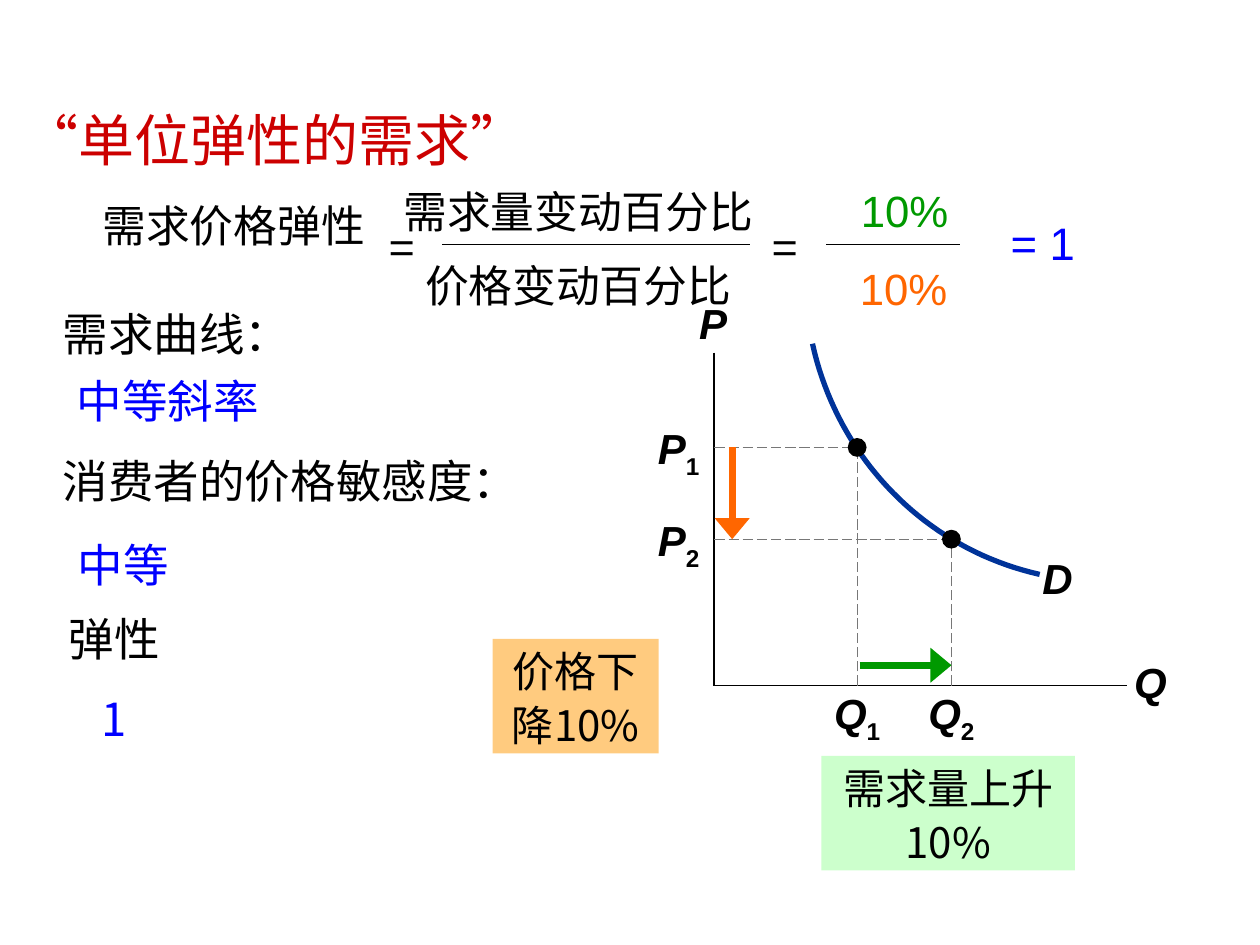
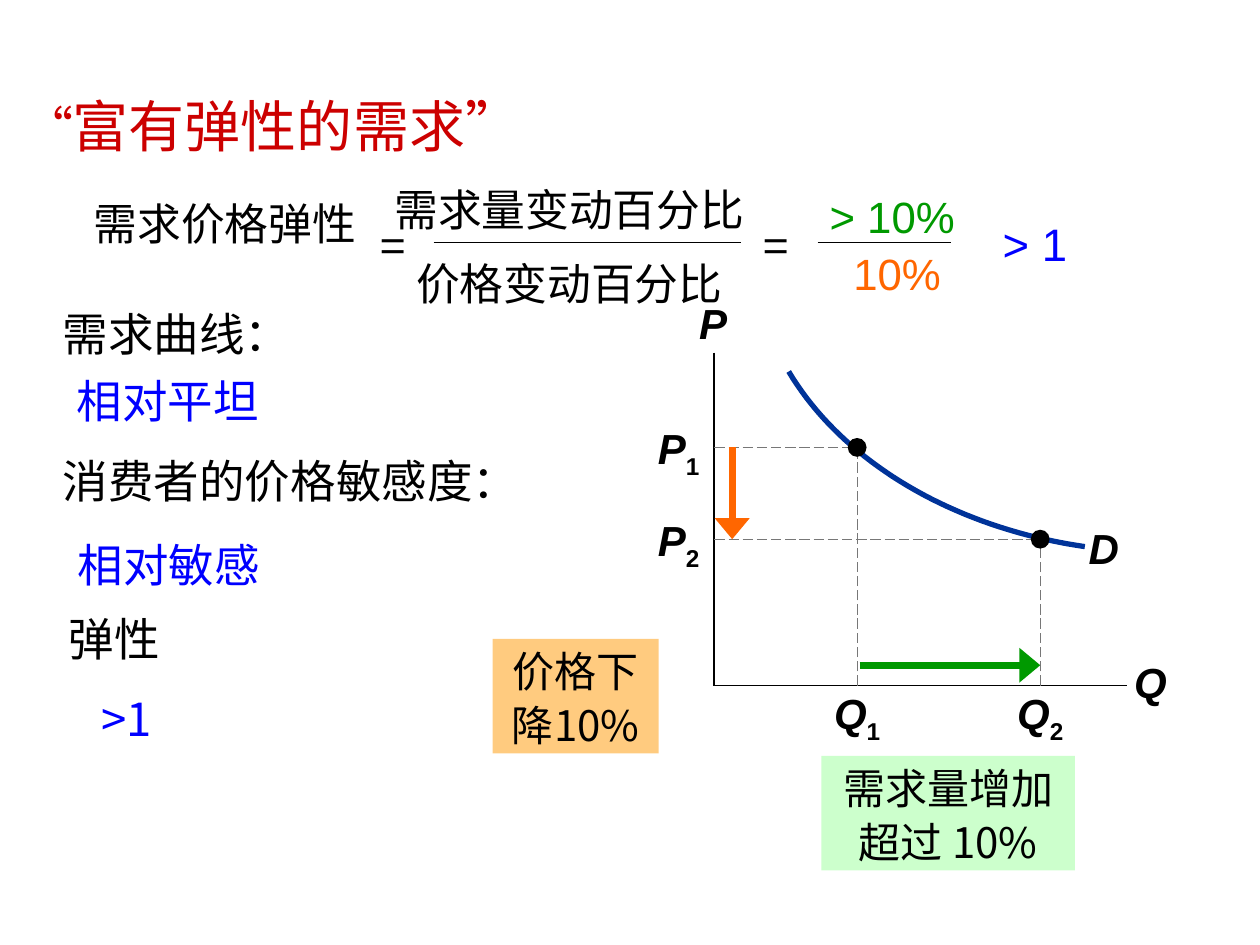
from dataclasses import dataclass

from pptx import Presentation
from pptx.dml.color import RGBColor
from pptx.enum.dml import MSO_LINE
from pptx.enum.shapes import MSO_CONNECTOR, MSO_SHAPE
from pptx.enum.text import MSO_ANCHOR, MSO_AUTO_SIZE, PP_ALIGN
from pptx.oxml.ns import qn
from pptx.util import Cm, Pt
from lxml.etree import SubElement

COLORS = {
    "title": "CC0000", "text": "000000", "answer": "0000FF", "curve": "003399",
    "guide": "777777", "price": "FF6600", "quantity": "009900",
    "price_box": "FF9900", "quantity_box": "CCFFCC",
}
LATIN, CJK = "Arial", "Noto Sans CJK SC"
ORIGIN_X, ORIGIN_Y, AXIS_TOP, AXIS_RIGHT = 14.4, 13.82, 7.11, 22.71
Q1, P1, P2 = 17.28, 9.02, 10.87
DOT = 0.38
LEADING = 1.28

Point = tuple[float, float]


@dataclass(frozen=True)
class Box:
    x: float
    y: float
    w: float
    h: float = 1.27

    @property
    def lengths(self):
        return Cm(self.x), Cm(self.y), Cm(self.w), Cm(self.h)


@dataclass(frozen=True)
class Term:
    text: str
    at: Box
    color: str
    size: int = 25


@dataclass(frozen=True)
class Case:
    title_parts: list[tuple[str, int]]
    title_at: Box
    equation_shift: Point
    terms: list[Term]
    answers: list[str]
    curve: list[Point]
    curve_label: Point
    q2: float
    quantity_note: str


@dataclass(frozen=True)
class Prompt:
    question: str
    question_at: Point
    answer_at: Point


PROMPTS = [
    Prompt("需求曲线：", (1.02, 5.97), (1.3, 7.32)),
    Prompt("消费者的价格敏感度：", (1.02, 8.94), (1.32, 10.62)),
    Prompt("弹性", (1.14, 12.12), (1.8, 13.74)),
]

CASES = [
    Case(
        title_parts=[("“单位弹性的需求”", 32)],
        title_at=Box(0.2, 1.93, 23.6, 1.73),
        equation_shift=(0, 0),
        terms=[
            Term("10%", Box(16.61, 3.58, 3.25), "quantity"),
            Term("10%", Box(16.59, 5.16, 3.25), "price"),
            Term("= 1", Box(20.07, 4.22, 1.91), "answer", 26),
        ],
        answers=["中等斜率", "中等", "1"],
        curve=[(20.96, 11.58), (18.67, 11.07), (16.89, 9.25), (16.38, 6.93)],
        curve_label=(20.52, 11.02),
        q2=19.18,
        quantity_note="需求量上升 10%",
    ),
    Case(
        title_parts=[("“", 28), ("富有弹性的需求”", 32)],
        title_at=Box(0.23, 1.65, 23.6, 1.73),
        equation_shift=(-0.18, -0.04),
        terms=[
            Term("> 10%", Box(16.36, 3.71, 3.25), "quantity"),
            Term("10%", Box(16.46, 4.85, 3.25), "price"),
            Term("> 1", Box(19.91, 4.24, 1.91), "answer", 26),
        ],
        answers=["相对平坦", "相对敏感", ">1"],
        curve=[(21.87, 11.02), (19.23, 10.64), (16.99, 9.32), (15.9, 7.49)],
        curve_label=(21.45, 10.41),
        q2=20.97,
        quantity_note="需求量增加超过 10%",
    ),
]


def rgb(name: str) -> RGBColor:
    return RGBColor.from_string(COLORS[name])


def add_run(p, text: str, *, size=24, font=LATIN, color="text", bold=False,
            italic=False, subscript=False) -> None:
    r = p.add_run()
    r.text = text
    f = r.font
    f.size, f.name, f.bold, f.italic = Pt(size), font, bold, italic
    f.color.rgb = rgb(color)
    rpr = r._r.get_or_add_rPr()
    SubElement(rpr, qn("a:ea")).set("typeface", font)
    if subscript:
        rpr.set("baseline", "-25000")


def write(sp, *lines: str, size=24, font=CJK, color="text", bold=False,
          italic=False, align=PP_ALIGN.CENTER, sub="") -> None:
    tf = sp.text_frame
    tf.word_wrap = True
    for i, line in enumerate(lines):
        p = tf.add_paragraph() if i else tf.paragraphs[0]
        p.alignment = align
        p.space_before = Pt(10 if i else 0)
        if font == CJK:
            p.line_spacing = Pt(size * LEADING)
        add_run(p, line, size=size, font=font, color=color, bold=bold, italic=italic)
        if sub:
            add_run(p, sub, size=size, font=font, color=color, bold=bold, subscript=True)


def add_text(s, box: Box, *lines: str, **style) -> None:
    write(s.shapes.add_textbox(*box.lengths), *lines, **style)


def add_line(s, start: Point, end: Point, *, color="text", width=1.0,
             dashed=False, arrow=False) -> None:
    c = s.shapes.add_connector(MSO_CONNECTOR.STRAIGHT, *map(Cm, start + end))
    c.line.color.rgb = rgb(color)
    c.line.width = Pt(width)
    if dashed:
        c.line.dash_style = MSO_LINE.LONG_DASH
    if arrow:
        tail = SubElement(c.line._get_or_add_ln(), qn("a:tailEnd"))
        tail.set("type", "triangle")
        tail.set("w", "lg")
        tail.set("len", "med")
    SubElement(c._element.spPr, qn("a:effectLst"))


def add_filled(s, kind: MSO_SHAPE, box: Box, color: str, opacity=100):
    sp = s.shapes.add_shape(kind, *box.lengths)
    sp.shadow.inherit = False
    sp.line.fill.background()
    sp.fill.solid()
    sp.fill.fore_color.rgb = rgb(color)
    if opacity < 100:
        clr = sp._element.spPr.find(qn("a:solidFill"))[0]
        SubElement(clr, qn("a:alpha")).set("val", str(opacity * 1000))
    return sp


def add_curve(s, controls: list[Point], steps: int = 40) -> None:
    def at(t: float) -> Point:
        weights = ((1 - t) ** 3, 3 * t * (1 - t) ** 2, 3 * t * t * (1 - t), t ** 3)
        return tuple(Cm(sum(w * c[k] for w, c in zip(weights, controls))) for k in (0, 1))

    points = [at(i / steps) for i in range(steps + 1)]
    builder = s.shapes.build_freeform(*points[0])
    builder.add_line_segments(points[1:], close=False)
    sp = builder.convert_to_shape()
    sp.shadow.inherit = False
    sp.fill.background()
    sp.line.color.rgb = rgb("curve")
    sp.line.width = Pt(3)


def add_title(s, case: Case) -> None:
    title = s.shapes.title
    title.left, title.top, title.width, title.height = case.title_at.lengths
    tf = title.text_frame
    tf.auto_size = MSO_AUTO_SIZE.NONE
    tf.vertical_anchor = MSO_ANCHOR.MIDDLE
    p = tf.paragraphs[0]
    p.alignment = PP_ALIGN.LEFT
    for text, size in case.title_parts:
        add_run(p, text, size=size, font=CJK, color="title")


def add_graph(s, case: Case) -> None:
    label = dict(font=LATIN, bold=True, italic=True)
    add_curve(s, case.curve)
    add_text(s, Box(*case.curve_label, 1.6), "D", **label)
    add_line(s, (ORIGIN_X, AXIS_TOP), (ORIGIN_X, ORIGIN_Y))
    add_line(s, (ORIGIN_X, ORIGIN_Y), (AXIS_RIGHT, ORIGIN_Y))
    add_text(s, Box(13.41, 5.87, 1.93), "P", **label)
    add_text(s, Box(22.23, 13.11, 1.93), "Q", **label)
    for sub, x, y in (("1", Q1, P1), ("2", case.q2, P2)):
        add_text(s, Box(x - 0.8, 13.74, 1.6), "Q", sub=sub, **label)
        add_text(s, Box(12.67, y - 0.62, 1.68), "P", sub=sub,
                 align=PP_ALIGN.RIGHT, **label)
        for start in ((x, ORIGIN_Y), (ORIGIN_X, y)):
            add_line(s, start, (x, y), color="guide", width=0.75, dashed=True)
        add_filled(s, MSO_SHAPE.OVAL, Box(x - DOT / 2, y - DOT / 2, DOT, DOT), "text")
    add_line(s, (14.76, P1), (14.76, P2), color="price", width=4, arrow=True)
    add_line(s, (Q1 + 0.05, 13.41), (case.q2, 13.41), color="quantity", width=4, arrow=True)


def add_equation(s, case: Case) -> None:
    dx, dy = case.equation_shift
    add_text(s, Box(1.55 + dx, 3.81 + dy, 6.32), "需求价格弹性", size=25)
    add_text(s, Box(7.21 + dx, 3.53 + dy, 8.89, 2.92),
             "需求量变动百分比", "价格变动百分比", size=25)
    for x in (7.47, 15.19):
        add_text(s, Box(x + dx, 4.24 + dy, 1.27), "=", size=26)
    for left, right in ((8.92, 15.11), (16.66, 19.35)):
        add_line(s, (left + dx, 4.93 + dy), (right + dx, 4.93 + dy))
    for term in case.terms:
        add_text(s, term.at, term.text, size=term.size, font=LATIN, color=term.color)


def add_prompts(s, case: Case) -> None:
    for prompt, answer in zip(PROMPTS, case.answers):
        for text, at, color in ((prompt.question, prompt.question_at, "text"),
                                (answer, prompt.answer_at, "answer")):
            add_text(s, Box(*at, 9.9, 1.4), text, size=26, color=color, align=PP_ALIGN.LEFT)


def add_notes_boxes(s, case: Case) -> None:
    price = add_filled(s, MSO_SHAPE.RECTANGLE, Box(9.93, 12.88, 3.35, 2.31), "price_box", 50)
    write(price, "价格下降10%")
    quantity = add_filled(s, MSO_SHAPE.RECTANGLE, Box(16.56, 15.24, 5.11, 2.31), "quantity_box")
    write(quantity, case.quantity_note)


def main() -> None:
    prs = Presentation()
    prs.slide_width, prs.slide_height = Cm(25.4), Cm(19.05)
    for case in CASES:
        s = prs.slides.add_slide(prs.slide_layouts[5])
        add_title(s, case)
        add_graph(s, case)
        add_equation(s, case)
        add_prompts(s, case)
        add_notes_boxes(s, case)
    prs.save("out.pptx")


if __name__ == "__main__":
    main()
